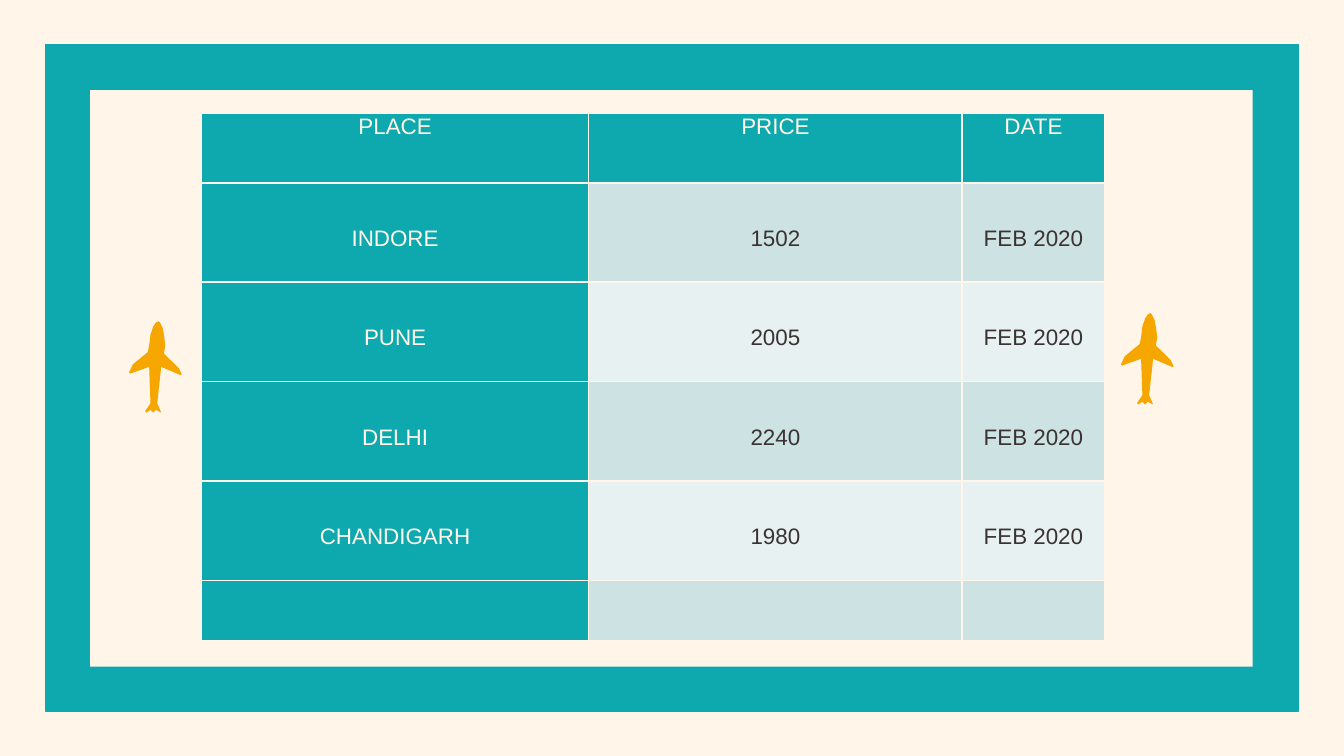
from lxml import etree
from pptx import Presentation
from pptx.dml.color import RGBColor
from pptx.enum.shapes import MSO_SHAPE
from pptx.enum.text import PP_ALIGN
from pptx.oxml.ns import qn
from pptx.util import Inches, Pt

RECTANGLE = MSO_SHAPE.RECTANGLE
CENTER = PP_ALIGN.CENTER

CREAM = RGBColor(0xFF, 0xF6, 0xE9)
TEAL = RGBColor(0x0E, 0xA9, 0xAF)
PALE_TEAL = RGBColor(0xCC, 0xE2, 0xE3)
PALEST_TEAL = RGBColor(0xE7, 0xF1, 0xF2)
DARK = RGBColor(0x3B, 0x32, 0x32)
ORANGE = RGBColor(0xF5, 0xA7, 0x00)

PRICES = [("INDORE", "1502"), ("PUNE", "2005"), ("DELHI", "2240"), ("CHANDIGARH", "1980")]
ROWS = [
    ("PLACE", "PRICE", "DATE"),
    *[(place, price, "FEB 2020") for place, price in PRICES],
    ("", "", ""),
]
COLUMN_WIDTHS = [2.88, 2.78, 1.06]
ROW_HEIGHTS = [0.52, 0.74, 0.74, 0.74, 0.74, 0.45]

PARAGRAPH_FORMAT = {"alignment": CENTER, "line_spacing": 1.06, "space_after": Pt(8)}
FONT_FORMAT = {"name": "Arial", "size": Pt(12), "bold": False}

PLANE_OUTLINE = [
    (0, 0.38), (0.01, 0.39), (0.15, 0.34), (0.16, 0.61), (0.12, 0.67),
    (0.13, 0.68), (0.16, 0.66), (0.18, 0.68), (0.2, 0.66), (0.24, 0.68),
    (0.21, 0.61), (0.24, 0.34), (0.38, 0.4), (0.39, 0.4), (0.39, 0.39),
    (0.37, 0.35), (0.26, 0.24), (0.27, 0.18), (0.26, 0.1), (0.25, 0.05),
    (0.23, 0.01), (0.22, 0), (0.2, 0.01), (0.18, 0.04), (0.16, 0.1),
    (0.15, 0.18), (0.14, 0.23), (0.03, 0.32),
]


def fill_shape(shape, color):
    shape.shadow.inherit = False
    shape.fill.solid()
    shape.fill.fore_color.rgb = color
    shape.line.fill.background()


def add_panel(slide, left, top, width, height, color):
    panel = slide.shapes.add_shape(
        RECTANGLE, Inches(left), Inches(top), Inches(width), Inches(height)
    )
    fill_shape(panel, color)
    return panel


def add_borders(cell, color):
    properties = cell._tc.get_or_add_tcPr()
    for side in ("a:lnL", "a:lnR", "a:lnT", "a:lnB"):
        line = etree.SubElement(properties, qn(side), w=str(Pt(1)))
        fill = etree.SubElement(line, qn("a:solidFill"))
        etree.SubElement(fill, qn("a:srgbClr"), val=str(color))


def format_cell(cell, text, fill_color, text_color, top_margin):
    add_borders(cell, CREAM)
    cell.fill.solid()
    cell.fill.fore_color.rgb = fill_color
    cell.margin_left = cell.margin_right = Inches(0.07)
    cell.margin_top = Inches(top_margin)
    cell.margin_bottom = 0
    cell.text = text
    para = cell.text_frame.paragraphs[0]
    for name, value in PARAGRAPH_FORMAT.items():
        setattr(para, name, value)
    for name, value in FONT_FORMAT.items():
        setattr(para.font, name, value)
    para.font.color.rgb = text_color


def add_price_table(slide):
    frame = slide.shapes.add_table(
        len(ROWS), len(COLUMN_WIDTHS), Inches(1.5), Inches(0.84),
        Inches(sum(COLUMN_WIDTHS)), Inches(sum(ROW_HEIGHTS)),
    )
    table = frame.table
    table.first_row = False
    table.horz_banding = False
    for column, width in zip(table.columns, COLUMN_WIDTHS):
        column.width = Inches(width)
    for row, height in zip(table.rows, ROW_HEIGHTS):
        row.height = Inches(height)
    for row_index, texts in enumerate(ROWS):
        band = PALE_TEAL if row_index % 2 else PALEST_TEAL
        top_margin = 0.31 if row_index and any(texts) else 0
        for column_index, text in enumerate(texts):
            is_heading = row_index == 0 or column_index == 0
            fill_color, text_color = (TEAL, CREAM) if is_heading else (band, DARK)
            cell = table.cell(row_index, column_index)
            format_cell(cell, text, fill_color, text_color, top_margin)


def add_plane(slide, left, top):
    points = [(Inches(left + x), Inches(top + y)) for x, y in PLANE_OUTLINE]
    builder = slide.shapes.build_freeform(*points[0])
    builder.add_line_segments(points[1:], close=True)
    fill_shape(builder.convert_to_shape(), ORANGE)


def main():
    deck = Presentation()
    deck.slide_width = Inches(10)
    deck.slide_height = deck.slide_width * 9 // 16
    slide = deck.slides.add_slide(deck.slide_layouts[6])
    slide.background.fill.solid()
    slide.background.fill.fore_color.rgb = CREAM
    border = add_panel(slide, 0.34, 0.33, 9.32, 4.96, TEAL)
    border.line.color.rgb = TEAL
    border.line.width = Pt(0.75)
    add_panel(slide, 0.67, 0.67, 8.65, 4.29, CREAM)
    add_price_table(slide)
    for left, top in [(8.34, 2.33), (0.96, 2.39)]:
        add_plane(slide, left, top)
    deck.save("out.pptx")


if __name__ == "__main__":
    main()
